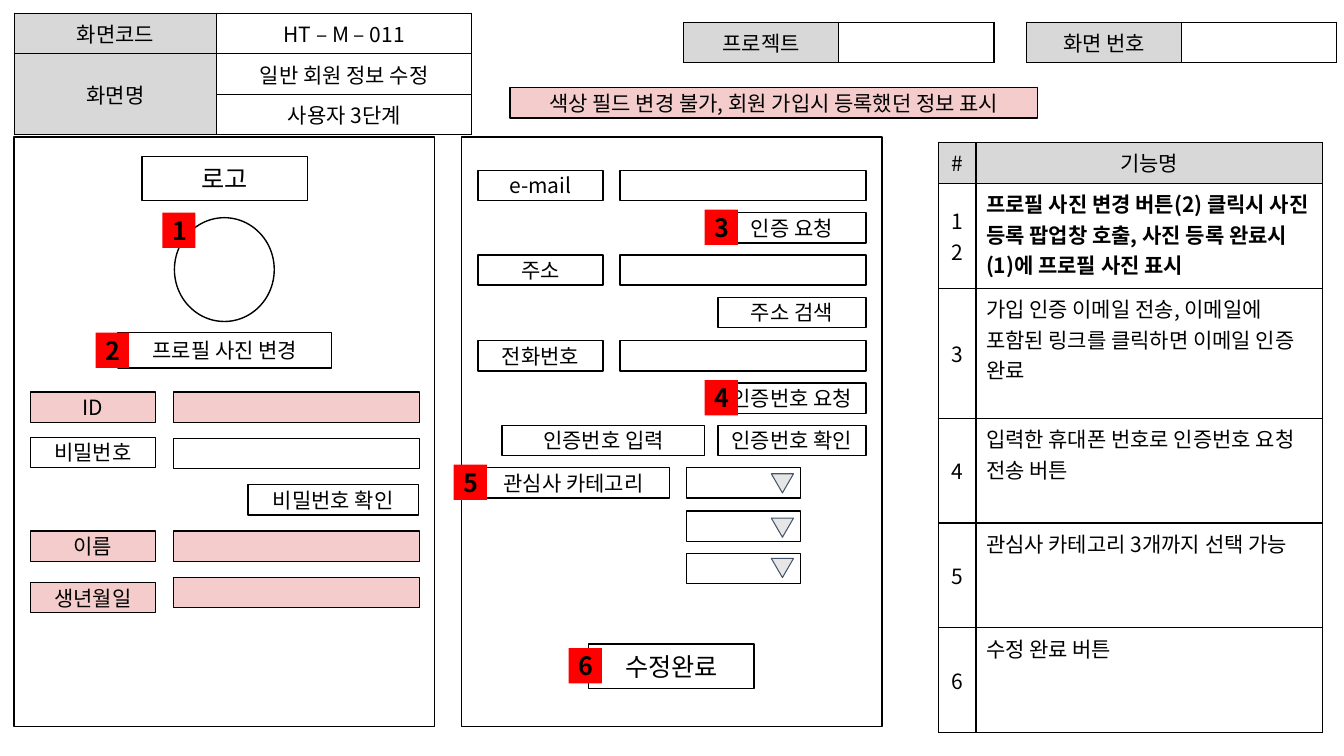
from dataclasses import dataclass
from lxml.etree import SubElement
from pptx import Presentation
from pptx.dml.color import RGBColor
from pptx.enum.shapes import MSO_SHAPE as Kind
from pptx.enum.text import MSO_ANCHOR as Anchor, PP_ALIGN as Align
from pptx.oxml.ns import qn
from pptx.util import Inches, Pt


@dataclass(frozen=True)
class Theme:
    font: str = "Noto Sans CJK KR"
    ink: str = "000000"
    paper: str = "FFFFFF"
    head: str = "D8D8D8"
    lock: str = "F4CCCC"
    badge: str = "FF0000"
    mark: str = "E7E6E6"
    edge: str = "44546A"
    text: int = 15
    large: int = 18
    rule: float = 1


THEME = Theme()

SCREEN = [["화면코드", "HT – M – 011"],
          ["화면명", "일반 회원 정보 수정"],
          ["", "사용자 3단계"]]
TAGS = [(6.78, "프로젝트"), (10.18, "화면 번호")]
NOTE = "색상 필드 변경 불가, 회원 가입시 등록했던 정보 표시"
FEATURES = [
    ["#", "기능명"],
    ["1\n2", "프로필 사진 변경 버튼(2) 클릭시 사진 등록 팝업창 호출, 사진 등록 완료시 (1)에 프로필 사진 표시"],
    ["3", "가입 인증 이메일 전송, 이메일에 포함된 링크를 클릭하면 이메일 인증 완료"],
    ["4", "입력한 휴대폰 번호로 인증번호 요청 전송 버튼"],
    ["5", "관심사 카테고리 3개까지 선택 가능"],
    ["6", "수정 완료 버튼"],
]
HEIGHTS = [0.41, 1.04, 1.29, 1.04, 1.04, 1.04]

# Form rows: slot, label, locked, label nudge
PROFILE = [(0, "ID", True, 0), (1, "비밀번호", False, -0.01),
           (3, "이름", True, 0), (4, "생년월일", True, 0.05)]
CONTACT = [(0, "e-mail"), (2, "주소"), (4, "전화번호")]
# Buttons: slot, left, width, label
BUTTONS = [(1, 7.12, 1.47, "인증 요청"), (3, 7.12, 1.47, "주소 검색"),
           (5, 7.12, 1.47, "인증번호 요청"), (6, 4.98, 2.01, "인증번호 입력"),
           (6, 7.12, 1.47, "인증번호 확인"), (7, 4.74, 1.9, "관심사 카테고리")]
# Menus: slot, top of the arrow mark
MENUS = [(7, 4.7), (8, 5.14), (9, 5.54)]
BADGES = [("1", 1.61, 2.11), ("2", 0.95, 3.3), ("3", 6.99, 2.08),
          ("4", 6.99, 3.77), ("5", 4.5, 4.61), ("6", 5.64, 6.43)]
ROW = 0.3
PANELS = [0.14, 4.58]


def color(code):
    return RGBColor.from_string(code)


def write(frame, text, size=THEME.text, bold=False, align=Align.CENTER):
    frame.word_wrap = True
    for i, line in enumerate(text.split("\n")):
        para = frame.add_paragraph() if i else frame.paragraphs[0]
        para.alignment = align
        run = para.add_run()
        run.text = line
        font = run.font
        font.name, font.size, font.bold = THEME.font, Pt(size), bold
        font.color.rgb = color(THEME.ink)
        east = SubElement(run._r.get_or_add_rPr(), qn("a:ea"))
        east.set("typeface", THEME.font)


def draw(slide, at, text="", fill=THEME.paper, line=THEME.ink,
         rule=THEME.rule, kind=Kind.RECTANGLE, **style):
    shape = slide.shapes.add_shape(kind, *map(Inches, at))
    shape.shadow.inherit = False
    shape.fill.solid()
    shape.fill.fore_color.rgb = color(fill)
    if line:
        shape.line.color.rgb = color(line)
        shape.line.width = Pt(rule)
    else:
        shape.line.fill.background()
    if text:
        shape.text_frame.vertical_anchor = Anchor.MIDDLE
        write(shape.text_frame, text, **style)
    return shape


def border(cell):
    props = cell._tc.get_or_add_tcPr()
    for i, side in enumerate(("a:lnL", "a:lnR", "a:lnT", "a:lnB")):
        edge = props.makeelement(qn(side), {"w": str(Pt(THEME.rule))})
        fill = SubElement(edge, qn("a:solidFill"))
        SubElement(fill, qn("a:srgbClr")).set("val", THEME.ink)
        props.insert(i, edge)


def grid(slide, left, top, cols, rows, data, shaded, listing=False):
    """Add a bordered table; shaded(row, col) picks the heading cells."""
    table = slide.shapes.add_table(
        len(rows), len(cols), Inches(left), Inches(top),
        Inches(sum(cols)), Inches(sum(rows))).table
    for col, width in zip(table.columns, cols):
        col.width = Inches(width)
    for row, height in zip(table.rows, rows):
        row.height = Inches(height)
    for r, line in enumerate(data):
        for c, text in enumerate(line):
            cell = table.cell(r, c)
            cell.fill.solid()
            tone = THEME.head if shaded(r, c) else THEME.paper
            cell.fill.fore_color.rgb = color(tone)
            border(cell)
            body = listing and r > 0 and c == 1
            cell.vertical_anchor = Anchor.TOP if body else Anchor.MIDDLE
            if text:
                write(cell.text_frame, text, bold=body and r == 1,
                      align=Align.LEFT if body else Align.CENTER)
            else:
                cell.margin_top = cell.margin_bottom = 0
    return table


def tables(slide):
    first = lambda r, c: c == 0
    screen = grid(slide, 0.14, 0.13, [2.01, 2.53], [0.4] * 3, SCREEN, first)
    screen.cell(1, 0).merge(screen.cell(2, 0))
    for left, name in TAGS:
        grid(slide, left, 0.22, [1.54] * 2, [0.4], [[name, ""]], first)
    grid(slide, 9.31, 1.41, [0.37, 3.44], HEIGHTS, FEATURES,
         lambda r, c: r == 0, listing=True)


def profile(slide):
    draw(slide, (1.41, 1.55, 1.64, 0.44), "로고", size=THEME.large)
    draw(slide, (1.17, 3.3, 2.12, 0.35), "프로필 사진 변경")
    draw(slide, (1.73, 2.16, 0.99, 1.03), kind=Kind.OVAL)
    top = lambda slot: 3.89 + 0.46 * slot
    for slot, name, locked, nudge in PROFILE:
        fill = THEME.lock if locked else THEME.paper
        draw(slide, (1.72, top(slot), 2.44, ROW), fill=fill)
        draw(slide, (0.3, top(slot) + nudge, 1.24, ROW), name, fill)
    draw(slide, (2.46, top(2), 1.69, ROW), "비밀번호 확인")


def contact(slide):
    top = lambda slot: 1.69 + 0.42 * slot + 0.01 * (slot // 4)
    for slot, name in CONTACT:
        draw(slide, (6.15, top(slot), 2.44, ROW))
        draw(slide, (4.74, top(slot), 1.24, ROW), name)
    for slot, left, width, name in BUTTONS:
        draw(slide, (left, top(slot), width, ROW), name)
    for slot, mark in MENUS:
        draw(slide, (6.81, top(slot), 1.13, ROW))
        arrow = draw(slide, (7.65, mark, 0.22, 0.19), fill=THEME.mark,
                     line=THEME.edge, rule=0.75, kind=Kind.ISOSCELES_TRIANGLE)
        arrow.rotation = 180
    draw(slide, (5.84, 6.39, 1.64, 0.44), "수정완료", size=THEME.large)


def main():
    deck = Presentation()
    deck.slide_width, deck.slide_height = Inches(13.33), Inches(7.5)
    slide = deck.slides.add_slide(deck.slide_layouts[6])
    tables(slide)
    for left in PANELS:
        draw(slide, (left, 1.36, 4.17, 5.85))
    profile(slide)
    contact(slide)
    for name, left, top in BADGES:
        draw(slide, (left, top, 0.33, 0.35), name, THEME.badge, None,
             size=THEME.large, bold=True,
             align=Align.LEFT if name == "3" else Align.CENTER)
    draw(slide, (5.06, 0.87, 5.23, ROW), NOTE, THEME.lock)
    deck.save("out.pptx")


if __name__ == "__main__":
    main()
